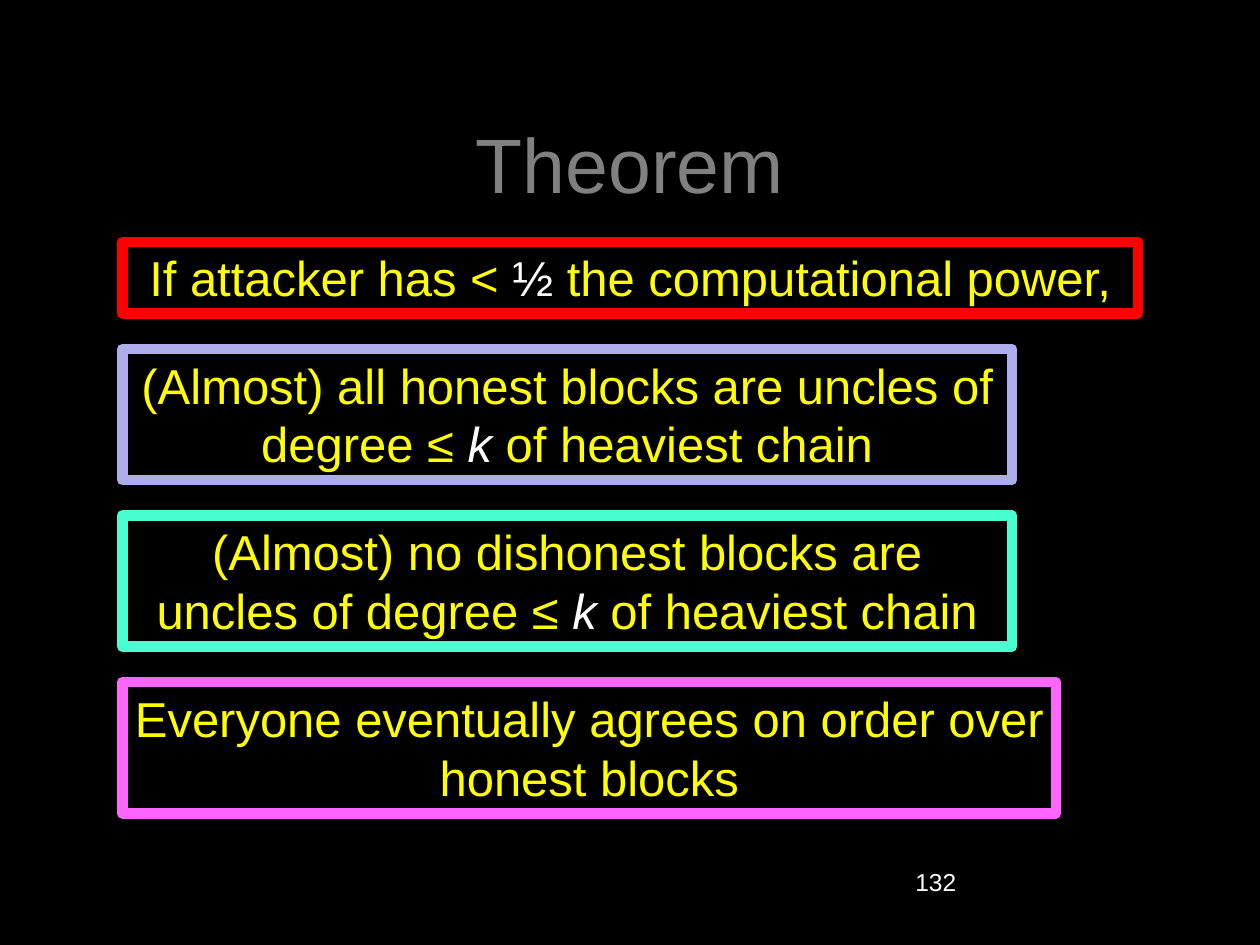
from pptx import Presentation
from pptx.dml.color import RGBColor
from pptx.enum.shapes import MSO_SHAPE
from pptx.enum.text import MSO_ANCHOR, MSO_AUTO_SIZE, PP_ALIGN
from pptx.util import Pt

FONT = "Arial"
BLACK, WHITE, GREY, YELLOW = "000000", "FFFFFF", "808080", "FFFF00"

TITLE = "Theorem"
PAGE_NUMBER = "132"
# Each statement: border colour, width, line count, runs of (text, colour, italic)
STATEMENTS = [
    ("FF0000", 580.3, 1, [
        ("If attacker has < ", YELLOW, False),
        ("½", WHITE, False),
        (" the computational power,", YELLOW, False)]),
    ("ADADEB", 508.3, 2, [
        ("(Almost) all honest blocks are uncles of degree ≤ ", YELLOW, False),
        ("k ", WHITE, True),
        ("of heaviest chain", YELLOW, False)]),
    ("47FFD1", 508.3, 2, [
        ("(Almost) no dishonest blocks are uncles of degree ≤ ", YELLOW, False),
        ("k ", WHITE, True),
        ("of heaviest chain", YELLOW, False)]),
    ("FF66FF", 533.5, 2, [
        ("Everyone eventually agrees on order over honest blocks", YELLOW, False)]),
]

LEFT, TOP, GAP = 69.9, 138.2, 20.2
LINE_HEIGHT, PADDING = 34, 7
BORDER = 6


def rgb(color):
    return RGBColor.from_string(color)


def write(sp, runs, size, align, anchor=MSO_ANCHOR.TOP, wrap=True):
    tf = sp.text_frame
    tf.word_wrap = wrap
    tf.vertical_anchor = anchor
    p = tf.paragraphs[0]
    p.alignment = align
    for text, color, italic in runs:
        r = p.add_run()
        r.text = text
        r.font.name = FONT
        r.font.size = Pt(size)
        r.font.italic = italic
        r.font.color.rgb = rgb(color)


def add_label(s, box, text, color, size, align, anchor=MSO_ANCHOR.TOP):
    sp = s.shapes.add_textbox(*map(Pt, box))
    write(sp, [(text, color, False)], size, align, anchor)


def add_statement(s, top, height, width, border, runs, wrap):
    sp = s.shapes.add_shape(MSO_SHAPE.RECTANGLE, Pt(LEFT), Pt(top), Pt(width), Pt(height))
    sp.shadow.inherit = False
    sp.fill.solid()
    sp.fill.fore_color.rgb = rgb(BLACK)
    sp.line.color.rgb = rgb(border)
    sp.line.width = Pt(BORDER)
    write(sp, runs, 28, PP_ALIGN.CENTER, wrap=wrap)
    sp.text_frame.auto_size = MSO_AUTO_SIZE.SHAPE_TO_FIT_TEXT


def main():
    prs = Presentation()
    prs.slide_width, prs.slide_height = Pt(720), Pt(540)
    s = prs.slides.add_slide(prs.slide_layouts[6])
    s.background.fill.solid()
    s.background.fill.fore_color.rgb = rgb(BLACK)

    add_label(s, (54, 48, 612, 90), TITLE, GREY, 44, PP_ALIGN.CENTER, MSO_ANCHOR.MIDDLE)
    add_label(s, (516, 492, 150, 36), PAGE_NUMBER, WHITE, 14, PP_ALIGN.LEFT)

    top = TOP
    for border, width, lines, runs in STATEMENTS:
        height = lines * LINE_HEIGHT + PADDING
        add_statement(s, top, height, width, border, runs, wrap=lines > 1)
        top += height + GAP

    prs.save("out.pptx")


if __name__ == "__main__":
    main()
